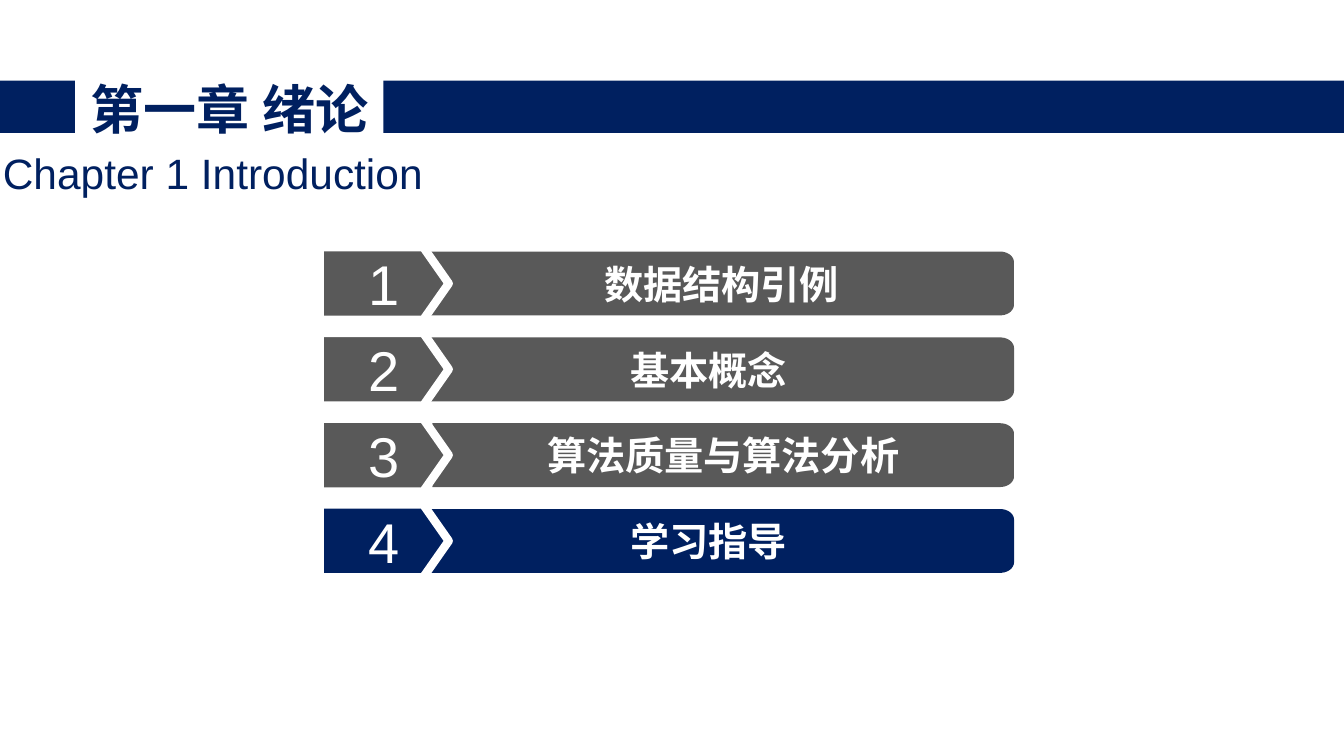
import math
from pptx import Presentation
from pptx.dml.color import RGBColor
from pptx.enum import shapes, text
from pptx.util import Pt

NAVY = RGBColor(0x00, 0x20, 0x60)
GRAY = RGBColor(0x59, 0x59, 0x59)
WHITE = RGBColor(0xFF, 0xFF, 0xFF)

# Label, left edge of its bar, colour
ROWS = [
    ("数据结构引例", 78.5, GRAY),
    ("基本概念", 60, GRAY),
    ("算法质量与算法分析", 80.5, GRAY),
    ("学习指导", 60, NAVY),
]


def write(shape, words, size, color, bold=False, align=text.PP_ALIGN.CENTER,
          anchor=text.MSO_ANCHOR.MIDDLE):
    frame = shape.text_frame
    frame.margin_left = frame.margin_right = 0
    frame.margin_top = frame.margin_bottom = 0
    frame.word_wrap = True
    frame.vertical_anchor = anchor
    par = frame.paragraphs[0]
    par.text = words
    par.alignment = align
    font = par.font
    font.name, font.size, font.bold = "Arial", Pt(size), bold
    font.color.rgb = color


def paint(shape, color):
    shape.shadow.inherit = False
    shape.fill.solid()
    shape.fill.fore_color.rgb = color
    shape.line.fill.background()


def outline(slide, points, color):
    first, *rest = [(Pt(x), Pt(y)) for x, y in points]
    pen = slide.shapes.build_freeform(*first)
    pen.add_line_segments(rest, close=True)
    shape = pen.convert_to_shape()
    paint(shape, color)
    return shape


def corner(x, y, rx, ry, start):
    """Points of a quarter ellipse round (x, y), from start degrees."""
    turns = [math.radians(start + step * 10) for step in range(10)]
    return [(x + rx * math.cos(a), y + ry * math.sin(a)) for a in turns]


def header(slide, left, top, width):
    # Two bands with the chapter title between them
    for x, w in ((0, 53.5), (273.8, width - 273.8)):
        band = slide.shapes.add_shape(
            shapes.MSO_SHAPE.RECTANGLE, Pt(left + x), Pt(top), Pt(w), Pt(37.4))
        paint(band, NAVY)
    title = slide.shapes.add_textbox(
        Pt(left + 60), Pt(top - 3.6), Pt(208), Pt(46))
    write(title, "第一章 绪论", 37.9, NAVY, True)
    # English subtitle
    sub = slide.shapes.add_textbox(
        Pt(left + 2), Pt(top + 47.5), Pt(324), Pt(36.7))
    write(sub, "Chapter 1 Introduction", 30.3, NAVY,
          align=text.PP_ALIGN.LEFT, anchor=text.MSO_ANCHOR.TOP)


def entry(slide, left, top, width, height, num, label, start, color):
    # Bar with rounded right corners
    right, up, low = left + width, top + 3.2, top + height - 3.2
    rx, ry = 10, 7.5
    points = [(left + start, up)]
    points += corner(right - rx, up + ry, rx, ry, -90)
    points += corner(right - rx, low - ry, rx, ry, 0)
    points.append((left + start, low))
    write(outline(slide, points, color), label, 28, WHITE, True)
    # Number tag pointing at the bar
    neck, tip = left + 74, left + 92.2
    tag = outline(slide, [(left, top), (neck, top), (tip, top + height / 2),
                          (neck, top + height), (left, top + height)], color)
    tag.line.color.rgb = WHITE
    tag.line.width = Pt(6)
    write(tag, str(num), 40, WHITE)


def agenda(slide, left, top, width, height):
    pitch = 61.3
    tall = height - pitch * (len(ROWS) - 1)
    for i, (label, start, color) in enumerate(ROWS):
        entry(slide, left, top + i * pitch, width, tall,
              i + 1, label, start, color)


def main():
    deck = Presentation()
    deck.slide_width, deck.slide_height = Pt(960), Pt(540)
    slide = deck.slides.add_slide(deck.slide_layouts[6])
    header(slide, 0, 57.6, 960)
    agenda(slide, 228.3, 176.5, 496, 235.9)
    deck.save("out.pptx")


if __name__ == "__main__":
    main()
